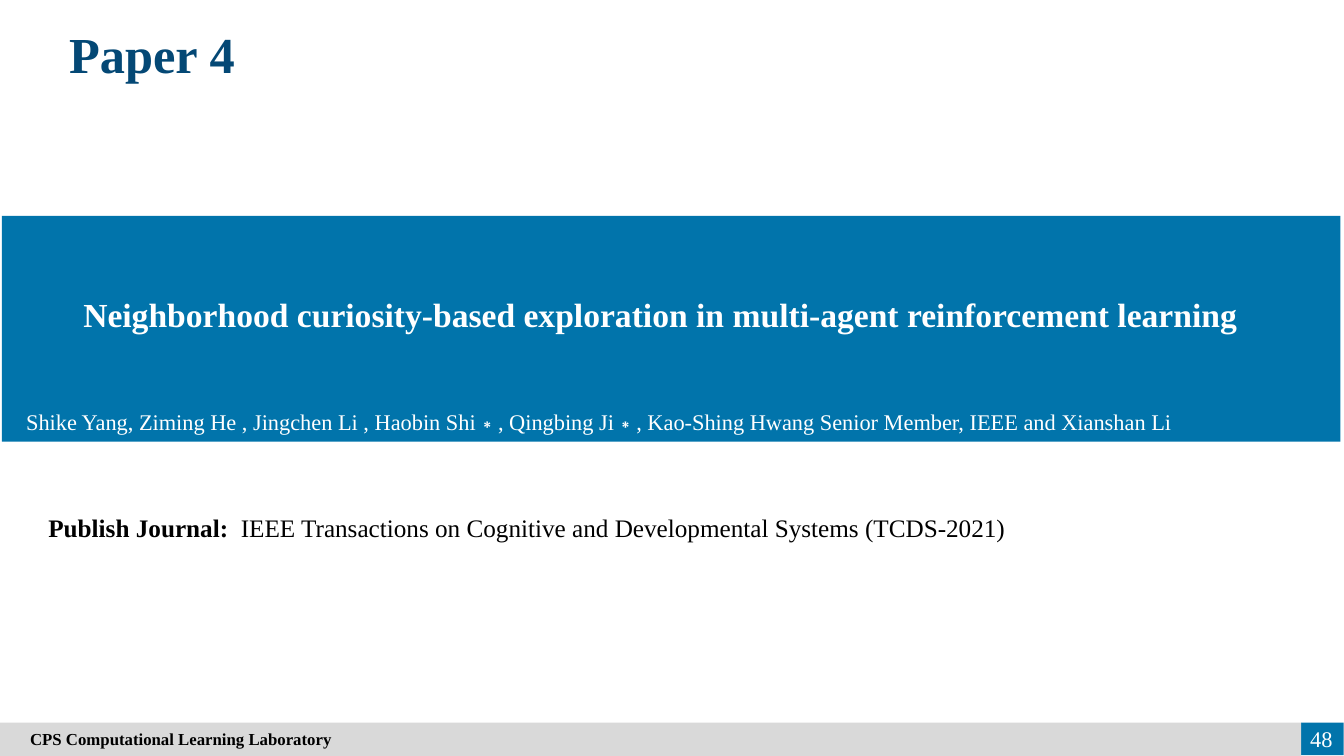
from lxml import etree
from pptx import Presentation
from pptx.dml.color import RGBColor
from pptx.enum.shapes import MSO_SHAPE
from pptx.enum.text import MSO_ANCHOR, PP_ALIGN
from pptx.oxml.ns import qn
from pptx.util import Cm, Pt

RECTANGLE = MSO_SHAPE.RECTANGLE
TOP, MIDDLE = MSO_ANCHOR.TOP, MSO_ANCHOR.MIDDLE
LEFT, CENTER, RIGHT = PP_ALIGN.LEFT, PP_ALIGN.CENTER, PP_ALIGN.RIGHT

BLUE = RGBColor(0x01, 0x74, 0xAB)
NAVY = RGBColor(0x04, 0x48, 0x75)
GRAY = RGBColor(0xD9, 0xD9, 0xD9)
WHITE = RGBColor(0xFF, 0xFF, 0xFF)
BLACK = RGBColor(0x00, 0x00, 0x00)
FONT = "Times New Roman"


def format_span(span, size, color, bold=False):
    span.font.name = FONT
    span.font.size = Pt(size)
    span.font.color.rgb = color
    span.font.bold = bold


def write_text(shape, text, size, color, bold=False, align=LEFT, anchor=TOP):
    frame = shape.text_frame
    frame.word_wrap = True
    frame.vertical_anchor = anchor
    frame.text = text
    para = frame.paragraphs[0]
    para.alignment = align
    format_span(para.runs[0], size, color, bold)
    return para


def add_bar(page, left, top, width, height, color):
    bar = page.shapes.add_shape(RECTANGLE, Cm(left), Cm(top), Cm(width), Cm(height))
    bar.shadow.inherit = False
    bar.fill.solid()
    bar.fill.fore_color.rgb = color
    bar.line.fill.background()
    return bar


def add_text(page, left, top, width, height, text, size, color, **style):
    box = page.shapes.add_textbox(Cm(left), Cm(top), Cm(width), Cm(height))
    return write_text(box, text, size, color, **style)


def add_tab_stop(para, position):
    tabs = etree.SubElement(para._p.get_or_add_pPr(), qn("a:tabLst"))
    etree.SubElement(tabs, qn("a:tab"), pos=str(int(position)), algn="l")


def set_title(page, text):
    title = page.shapes.title
    title.left, title.top = Cm(0.97), Cm(0.46)
    title.width, title.height = Cm(5.72), Cm(1.8)
    para = write_text(title, text, 36, NAVY, bold=True, align=CENTER)
    para.line_spacing = 1.0


def add_paper_banner(page):
    add_bar(page, 0.05, 5.44, 33.73, 5.69, BLUE)
    heading = add_text(
        page, 0.08, 6.76, 33.12, 1.8,
        "Neighborhood curiosity-based exploration in multi-agent reinforcement learning",
        24, WHITE, bold=True, align=CENTER, anchor=MIDDLE)
    heading.line_spacing = 1.5
    add_text(
        page, 0.41, 10.16, 33.2, 1.63,
        "Shike Yang, Ziming He , Jingchen Li , Haobin Shi∗, Qingbing Ji∗, "
        "Kao-Shing Hwang Senior Member, IEEE and Xianshan Li",
        16, WHITE)


def add_journal(page):
    para = add_text(page, 0.97, 12.78, 32.84, 1.02, "Publish Journal:", 18, BLACK, bold=True)
    add_tab_stop(para, Cm(4.85))
    span = para.add_run()
    span.text = "\tIEEE Transactions on Cognitive and Developmental Systems (TCDS-2021)"
    format_span(span, 18, BLACK)


def add_footer(page):
    add_bar(page, 32.79, 18.21, 1.07, 0.82, BLUE)
    strip = add_bar(page, 0, 18.21, 32.79, 0.84, GRAY)
    write_text(strip, "CPS Computational Learning Laboratory", 12, BLACK, bold=True, anchor=MIDDLE)
    strip.text_frame.margin_left = Cm(0.76)
    add_text(page, 32.23, 18.11, 1.6, 1.02, "48", 16, WHITE, align=RIGHT, anchor=MIDDLE)


def main():
    deck = Presentation()
    deck.slide_width, deck.slide_height = Cm(33.87), Cm(19.05)
    page = deck.slides.add_slide(deck.slide_layouts[5])  # title-only layout

    # Title
    set_title(page, "Paper 4")
    # Paper name and authors
    add_paper_banner(page)
    # Footer strip and page number
    add_footer(page)
    # Journal
    add_journal(page)

    deck.save("out.pptx")


if __name__ == "__main__":
    main()
